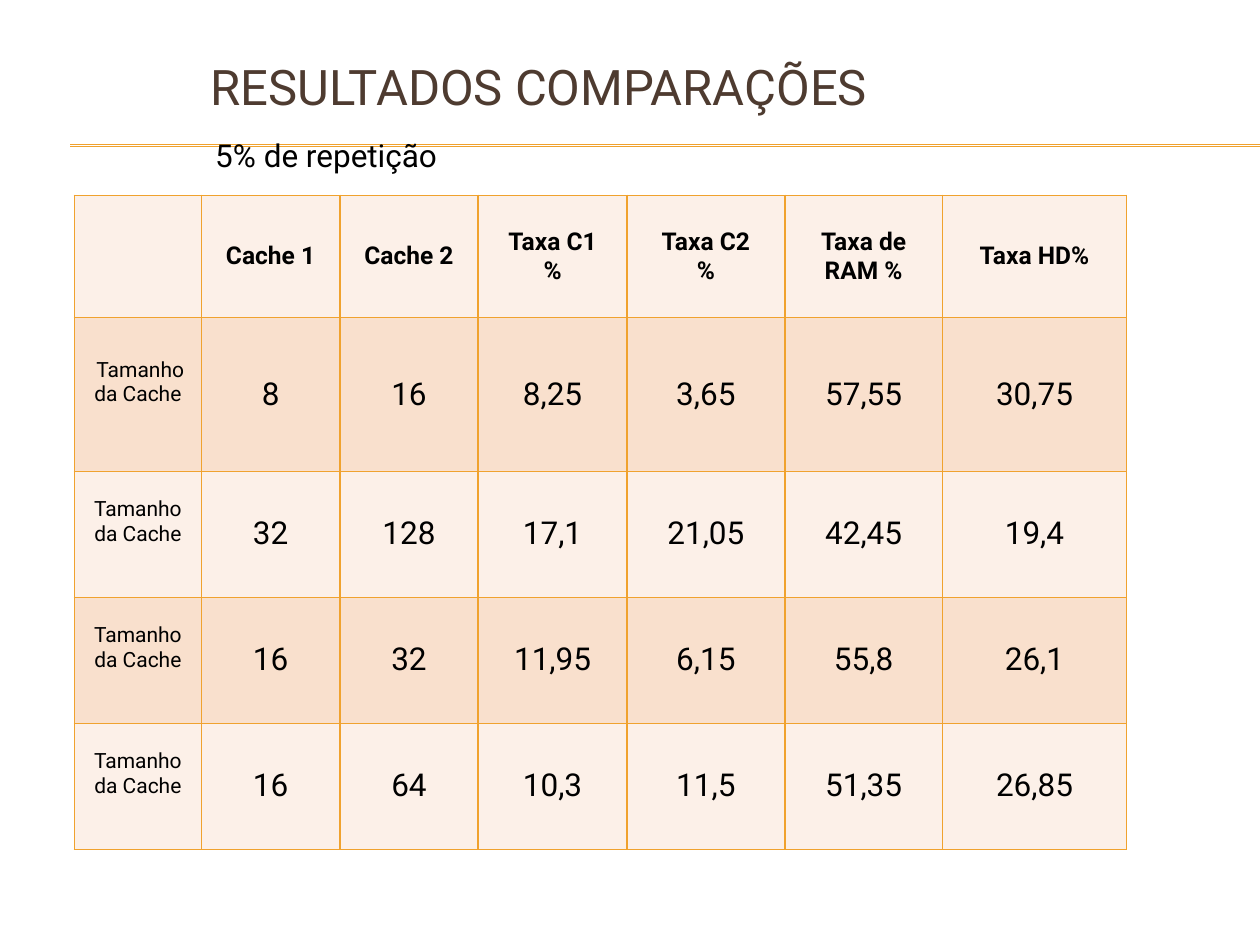
from lxml import etree
from pptx import Presentation
from pptx.dml.color import RGBColor
from pptx.enum.shapes import MSO_CONNECTOR
from pptx.enum.text import MSO_ANCHOR, PP_ALIGN
from pptx.oxml.ns import qn
from pptx.util import Cm, Pt

STRAIGHT = MSO_CONNECTOR.STRAIGHT
TOP, MIDDLE = MSO_ANCHOR.TOP, MSO_ANCHOR.MIDDLE
CENTER = PP_ALIGN.CENTER
ORANGE, BROWN, BLACK = "F0A22E", "4E3B30", "000000"
BANDS = ["FCF0E8", "F9E0CD"]


def color(value):
    return RGBColor.from_string(value)


def write(text_frame, text, size, shade=BLACK, bold=False, align=None):
    text_frame.text = text
    for paragraph in text_frame.paragraphs:
        paragraph.alignment = align
        formats = {"name": "Roboto", "size": Pt(size), "bold": bold}
        for run in paragraph.runs:
            for name, value in formats.items():
                setattr(run.font, name, value)
            run.font.color.rgb = color(shade)


presentation = Presentation()
presentation.slide_width = Cm(25.4)
presentation.slide_height = Cm(19.05)
slide = presentation.slides.add_slide(presentation.slide_layouts[6])

for rule_top in [2.92, 2.95]:
    rule = slide.shapes.add_connector(STRAIGHT, Cm(1.42), Cm(rule_top), Cm(25.4), Cm(rule_top))
    rule.line.color.rgb = color(ORANGE)
    rule.line.width = Pt(0.75)
    etree.SubElement(rule._element.spPr, qn("a:effectLst"))

headings = [
    ("RESULTADOS COMPARAÇÕES", (3.99, 0.76, 20.83, 1.96), 28, BROWN, MIDDLE),
    ("5% de repetição", (4.09, 2.62, 6.81, 1.02), 18, BLACK, TOP),
]
for text, box, size, shade, anchor in headings:
    text_frame = slide.shapes.add_textbox(*map(Cm, box)).text_frame
    text_frame.word_wrap = True
    text_frame.vertical_anchor = anchor
    write(text_frame, text, size, shade)

label = "Tamanho da Cache"
rows = [
    ["", "Cache 1", "Cache 2", "Taxa C1\n%", "Taxa C2\n%", "Taxa de RAM %", "Taxa HD%"],
    [" " + label, "8", "16", "8,25", "3,65", "57,55", "30,75"],
    [label, "32", "128", "17,1", "21,05", "42,45", "19,4"],
    [label, "16", "32", "11,95", "6,15", "55,8", "26,1"],
    [label, "16", "64", "10,3", "11,5", "51,35", "26,85"],
]
widths = [2.56, 2.79, 2.79, 3, 3.18, 3.18, 3.71]
heights = [2.46, 3.1, 2.54, 2.54, 2.54]
table = slide.shapes.add_table(
    len(rows), len(widths), Cm(1.5), Cm(3.94), Cm(sum(widths)), Cm(sum(heights))
).table
for column, width in zip(table.columns, widths):
    column.width = Cm(width)
for row, height in zip(table.rows, heights):
    row.height = Cm(height)

for row_index, values in enumerate(rows):
    for column_index, value in enumerate(values):
        cell = table.cell(row_index, column_index)
        header = row_index == 0
        is_label = column_index == 0 and not header
        size = 14 if header else 12 if is_label else 18
        write(cell.text_frame, value, size, bold=header, align=CENTER)
        cell.vertical_anchor = MIDDLE
        if is_label:
            cell.margin_bottom = Cm(0.62)
        properties = cell._tc.get_or_add_tcPr()
        for side in ["lnL", "lnR", "lnT", "lnB"]:
            border = etree.SubElement(properties, qn("a:" + side), w=str(Pt(1)))
            fill = etree.SubElement(border, qn("a:solidFill"))
            etree.SubElement(fill, qn("a:srgbClr"), val=ORANGE)
        cell.fill.solid()
        cell.fill.fore_color.rgb = color(BANDS[row_index % 2])

presentation.save("out.pptx")
